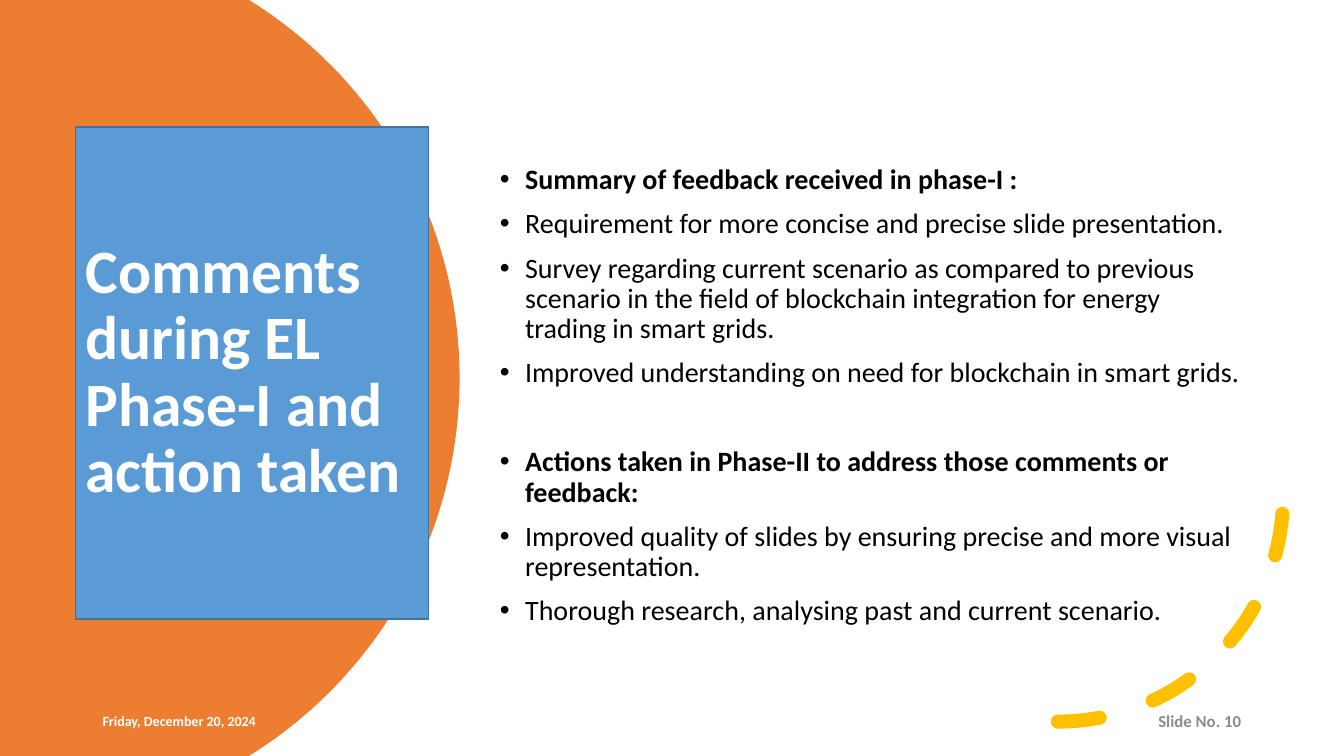
from dataclasses import dataclass
from math import asin, cos, sin

from lxml.etree import SubElement
from pptx import Presentation
from pptx.dml.color import RGBColor as RGB
from pptx.enum.dml import MSO_LINE
from pptx.enum.shapes import MSO_SHAPE as SHAPE
from pptx.enum.text import MSO_ANCHOR as ANCHOR, PP_ALIGN as ALIGN
from pptx.oxml.ns import qn
from pptx.util import Pt


@dataclass(frozen=True)
class Theme:
    font: str = "Calibri"
    orange: RGB = RGB(0xED, 0x7D, 0x31)
    blue: RGB = RGB(0x5B, 0x9B, 0xD5)
    edge: RGB = RGB(0x43, 0x73, 0x9E)
    gold: RGB = RGB(0xFF, 0xC0, 0x00)
    white: RGB = RGB(0xFF, 0xFF, 0xFF)
    black: RGB = RGB(0x00, 0x00, 0x00)
    grey: RGB = RGB(0x8C, 0x8C, 0x8C)
    title: int = 44
    body: int = 20
    number: int = 12
    date: int = 10


THEME = Theme()
WIDTH, HEIGHT = 960, 540
SPACE, SECTION_SPACE = 10, 42
FEEDBACK = [
    ("Summary of feedback received in phase-I :", [
        "Requirement for more concise and precise slide presentation.",
        "Survey regarding current scenario as compared to previous scenario in the field "
        "of blockchain integration for energy trading in smart grids.",
        "Improved understanding on need for blockchain in smart grids.",
    ]),
    ("Actions taken in Phase-II to address those comments or feedback:", [
        "Improved quality of slides by ensuring precise and more visual representation.",
        "Thorough research, analysing past and current scenario.",
    ]),
]


def add_run(p, text, size, color, bold=True):
    r = p.add_run()
    r.text = text
    r.font.name = THEME.font
    r.font.size = Pt(size)
    r.font.bold = bold
    r.font.color.rgb = color


def set_frame(sp):
    tf = sp.text_frame
    tf.word_wrap = True
    tf.vertical_anchor = ANCHOR.MIDDLE
    return tf


def add_disc(slide, center_x, radius, steps=120):
    middle = HEIGHT / 2
    limit = asin(middle / radius)
    angles = [limit * (2 * i / steps - 1) for i in range(steps + 1)]
    rim = [(center_x + radius * cos(a), middle + radius * sin(a)) for a in angles]
    builder = slide.shapes.build_freeform(0, 0, scale=Pt(1) / 100)
    points = rim + [(0, HEIGHT)]
    builder.add_line_segments([(round(x * 100), round(y * 100)) for x, y in points])
    sp = builder.convert_to_shape()
    sp.shadow.inherit = False
    sp.fill.solid()
    sp.fill.fore_color.rgb = THEME.orange
    sp.line.fill.background()


def add_title(slide, text, x, y, w, h):
    sp = slide.shapes.add_shape(SHAPE.RECTANGLE, Pt(x), Pt(y), Pt(w), Pt(h))
    sp.shadow.inherit = False
    sp.fill.solid()
    sp.fill.fore_color.rgb = THEME.blue
    sp.line.color.rgb = THEME.edge
    sp.line.width = Pt(1)
    p = set_frame(sp).paragraphs[0]
    p.alignment = ALIGN.LEFT
    p.line_spacing = 0.9
    add_run(p, text, THEME.title, THEME.white)


def add_dashed_arc(slide, x, y, size):
    sp = slide.shapes.add_shape(SHAPE.ARC, Pt(x), Pt(y), Pt(size), Pt(size))
    sp.shadow.inherit = False
    sp.fill.background()
    sp.line.color.rgb = THEME.gold
    sp.line.width = Pt(10)
    sp.line.dash_style = MSO_LINE.DASH
    sp.line._get_or_add_ln().set("cap", "rnd")
    sp._element.spPr.find(qn("a:xfrm")).set("flipV", "1")


def add_bullet(p, text, bold, space):
    pPr = p._p.get_or_add_pPr()
    pPr.set("marL", str(Pt(18)))
    pPr.set("indent", str(-Pt(18)))
    SubElement(pPr, qn("a:buFont")).set("typeface", "Arial")
    SubElement(pPr, qn("a:buChar")).set("char", "•")
    p.line_spacing = 0.9
    p.space_before = Pt(space)
    add_run(p, text, THEME.body, THEME.black, bold)


def add_feedback(slide, sections, x, y, w, h):
    tf = set_frame(slide.shapes.add_textbox(Pt(x), Pt(y), Pt(w), Pt(h)))
    for i, (heading, items) in enumerate(sections):
        p = tf.add_paragraph() if i else tf.paragraphs[0]
        add_bullet(p, heading, True, SECTION_SPACE if i else 0)
        for item in items:
            add_bullet(tf.add_paragraph(), item, False, SPACE)


def add_footer(slide, text, x, w, size, color, align):
    sp = slide.shapes.add_textbox(Pt(x), Pt(500.4), Pt(w), Pt(28.8))
    p = set_frame(sp).paragraphs[0]
    p.alignment = align
    add_run(p, text, size, color)


def main():
    prs = Presentation()
    prs.slide_width, prs.slide_height = Pt(WIDTH), Pt(HEIGHT)
    slide = prs.slides.add_slide(prs.slide_layouts[6])
    add_disc(slide, 10.8, 317.5)
    add_title(slide, "Comments during EL Phase-I and action taken", 54, 90.7, 252, 351.4)
    add_dashed_arc(slide, 594.7, 193.7, 321.8)
    add_feedback(slide, FEEDBACK, 350, 79, 543.6, 408)
    add_footer(slide, "Friday, December 20, 2024", 66.2, 128.9,
               THEME.date, THEME.white, ALIGN.LEFT)
    add_footer(slide, "Slide No. 10", 751, 142.6,
               THEME.number, THEME.grey, ALIGN.RIGHT)
    prs.save("out.pptx")


if __name__ == "__main__":
    main()
